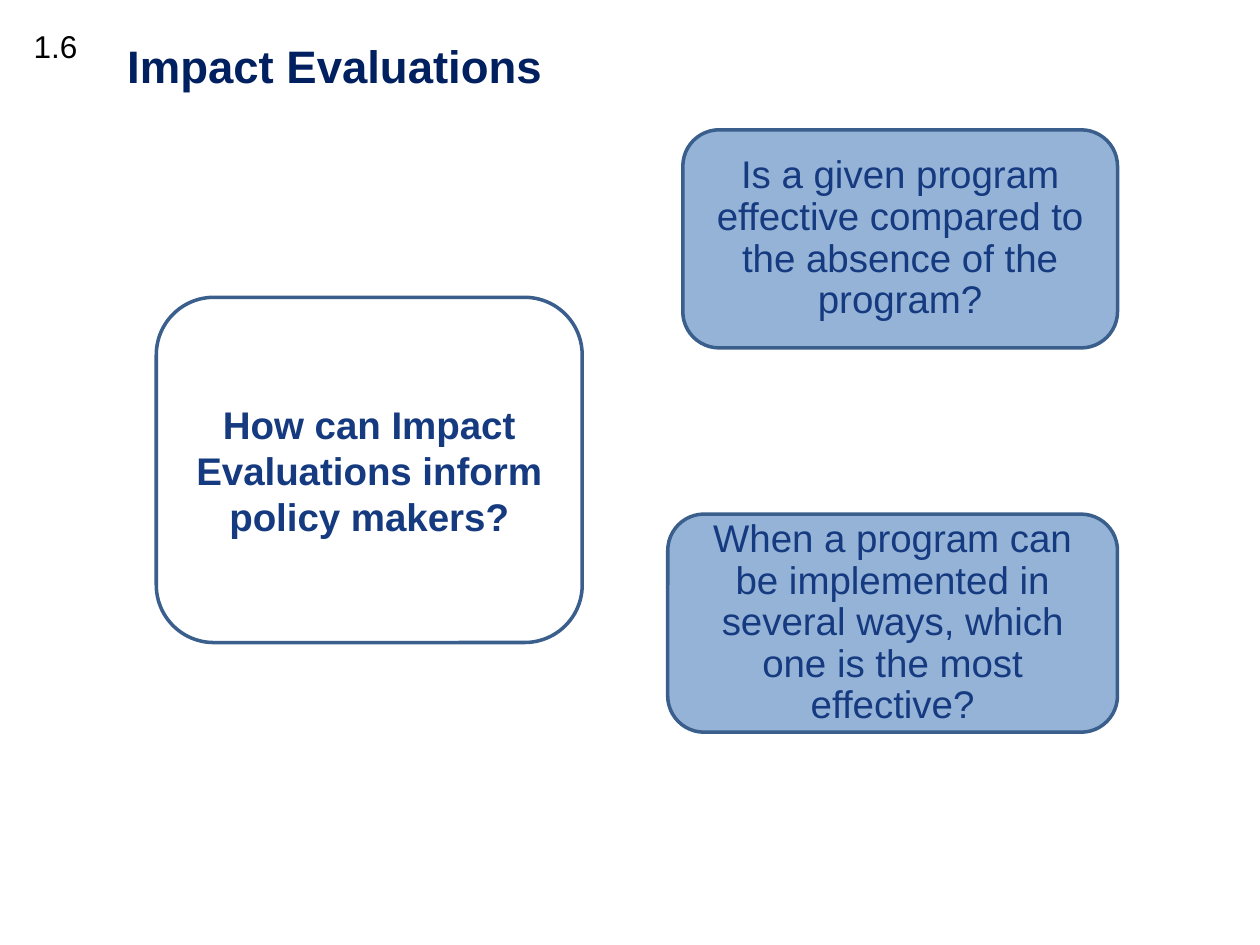
from lxml.etree import SubElement
from pptx import Presentation
from pptx.dml.color import RGBColor
from pptx.enum.shapes import MSO_SHAPE
from pptx.enum.text import MSO_ANCHOR, MSO_AUTO_SIZE, PP_ALIGN
from pptx.oxml.ns import qn
from pptx.util import Pt

NAVY = "002060"
BLUE = "153A80"
OUTLINE = "3A5F8C"
ANSWER_FILL = "95B3D7"
BLACK = "000000"


def color(hex_string):
    return RGBColor.from_string(hex_string)


def place(shape, left, top, width, height):
    shape.left, shape.top = Pt(left), Pt(top)
    shape.width, shape.height = Pt(width), Pt(height)


def write(shape, text, size, ink, bold=False, align=PP_ALIGN.LEFT,
          anchor=MSO_ANCHOR.TOP, line_spacing=1.0, space_before=0):
    frame = shape.text_frame
    frame.word_wrap = True
    frame.auto_size = MSO_AUTO_SIZE.NONE
    frame.vertical_anchor = anchor
    para = frame.paragraphs[0]
    para.alignment = align
    para.line_spacing = line_spacing
    para.space_before = Pt(space_before)
    span = para.add_run()
    span.text = text
    span.font.name = "Arial"
    span.font.size = Pt(size)
    span.font.bold = bold
    span.font.color.rgb = color(ink)
    return para


def outline(shape):
    shape.line.color.rgb = color(OUTLINE)
    shape.line.width = Pt(2)


def remove_bullet(para):
    properties = para._p.get_or_add_pPr()
    properties.set("marL", "0")
    properties.set("indent", "0")
    SubElement(properties, qn("a:buNone"))


def round_corners(placeholder):
    """Give a positioned placeholder the rounded rectangle geometry."""
    geometry = SubElement(placeholder._element.spPr, qn("a:prstGeom"), prst="roundRect")
    SubElement(geometry, qn("a:avLst"))


def add_title(page, text):
    title = page.shapes.title
    place(title, 65.5, 21.6, 620.6, 104.4)
    write(title, text, 26, NAVY, bold=True, line_spacing=0.9)


def add_question(page, text):
    body = page.placeholders[1]
    place(body, 89.3, 169.9, 243.4, 197.3)
    round_corners(body)
    outline(body)
    para = write(body, text, 22, BLUE, bold=True, align=PP_ALIGN.CENTER,
                 anchor=MSO_ANCHOR.MIDDLE, space_before=4.4)
    remove_bullet(para)


def add_answer(page, text, left, top):
    right, height = 638.6, 124.6
    box = page.shapes.add_shape(MSO_SHAPE.ROUNDED_RECTANGLE, Pt(left), Pt(top),
                                Pt(right - left), Pt(height))
    box.shadow.inherit = False
    box.fill.solid()
    box.fill.fore_color.rgb = color(ANSWER_FILL)
    outline(box)
    write(box, text, 22, BLUE, align=PP_ALIGN.CENTER, anchor=MSO_ANCHOR.MIDDLE,
          line_spacing=0.9, space_before=10)


def add_section_number(page, text):
    box = page.shapes.add_textbox(Pt(12.2), Pt(12.2), Pt(46.8), Pt(28.8))
    write(box, text, 18, BLACK)


def main():
    deck = Presentation()
    deck.slide_width, deck.slide_height = Pt(720), Pt(540)
    page = deck.slides.add_slide(deck.slide_layouts[1])
    add_title(page, "Impact Evaluations")
    add_question(page, "How can Impact Evaluations inform policy makers?")
    add_answer(page, "Is a given program effective compared to the absence of the program?",
               390.2, 74.2)
    add_answer(page, "When a program can be implemented in several ways, "
                     "which one is the most effective?", 381.6, 293.8)
    add_section_number(page, "1.6")
    deck.save("out.pptx")


if __name__ == "__main__":
    main()
